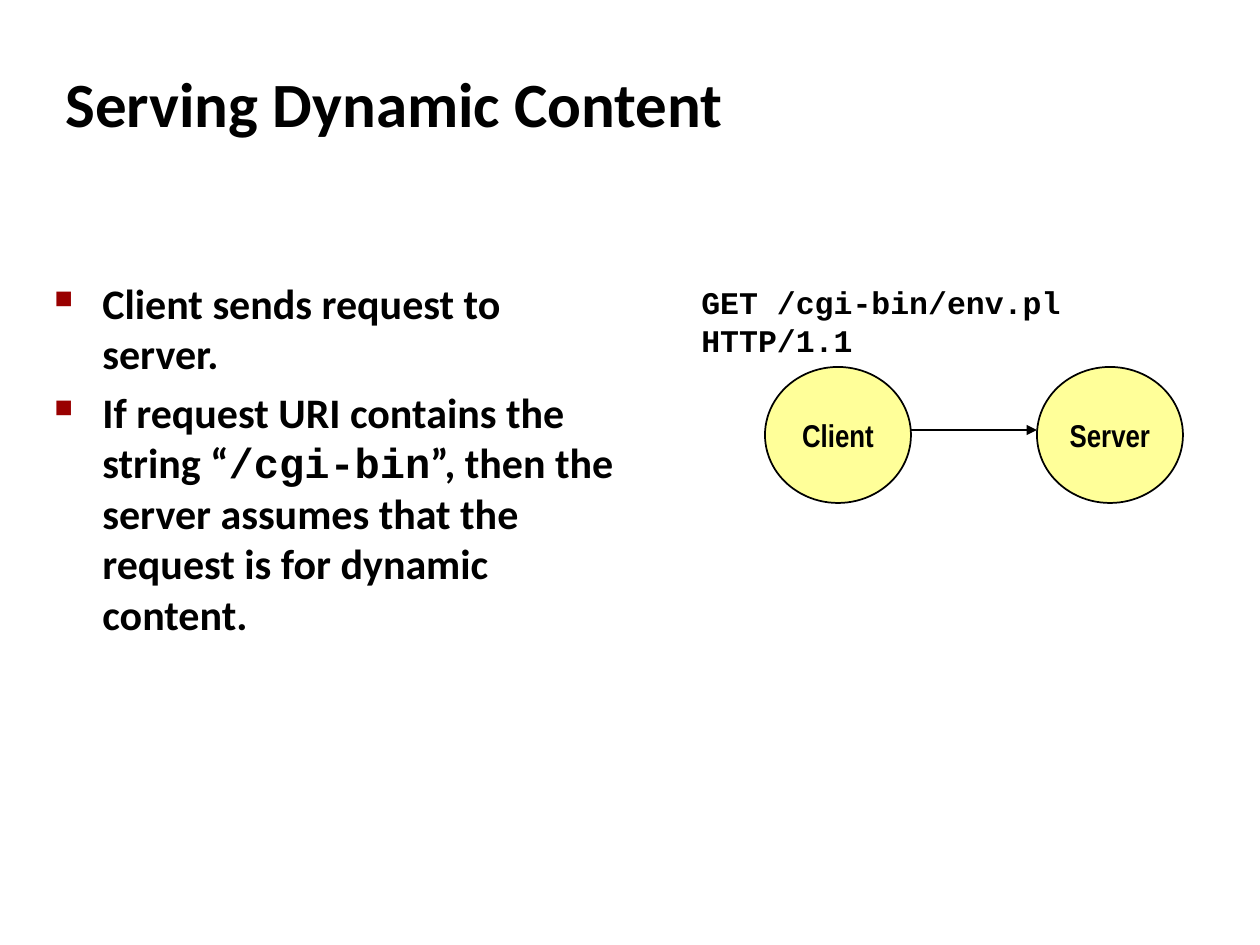
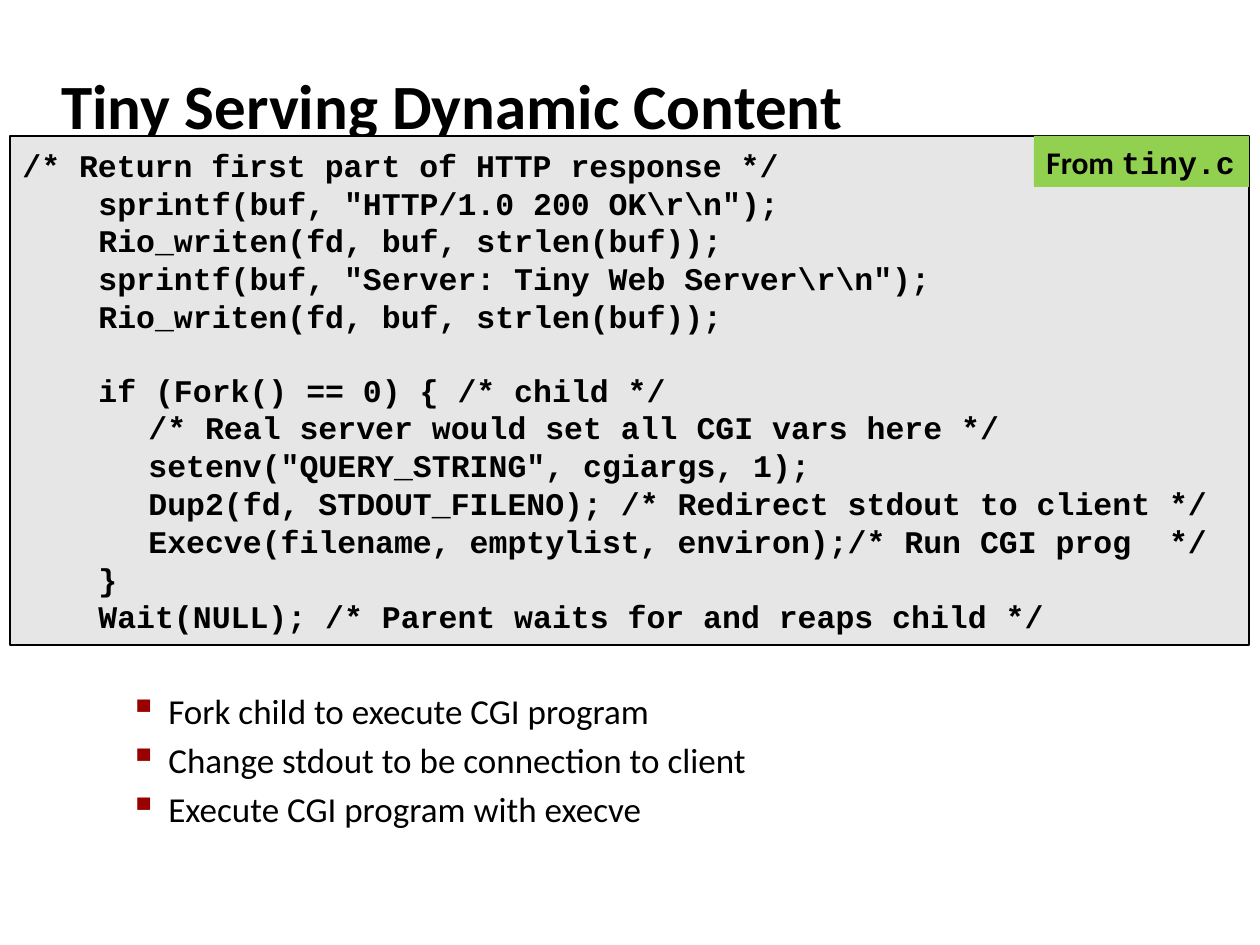
"""Build two slides on serving dynamic web content."""
from dataclasses import dataclass
from typing import Optional

import lxml.etree
import pptx
import pptx.dml.color
import pptx.enum.shapes
import pptx.enum.text
import pptx.oxml.ns
import pptx.util

RGBColor = pptx.dml.color.RGBColor
Anchor = pptx.enum.text.MSO_ANCHOR
Preset = pptx.enum.shapes.MSO_SHAPE
qn = pptx.oxml.ns.qn

BLACK = RGBColor(0x00, 0x00, 0x00)
YELLOW = RGBColor(0xFF, 0xFF, 0x99)
GREY = RGBColor(0xE6, 0xE6, 0xE6)
GREEN = RGBColor(0x92, 0xD0, 0x50)
DARK_RED = RGBColor(0x99, 0x00, 0x00)

SANS = "Calibri"
NARROW = "Arial Narrow"
MONO = "Courier New"
PX = 914400 // 126


@dataclass(frozen=True)
class Box:
    """Position and size in pixels."""

    x: int
    y: int
    w: int
    h: int

    def emu(self) -> tuple:
        """Return left, top, width and height in EMU."""
        return self.x * PX, self.y * PX, self.w * PX, self.h * PX


@dataclass(frozen=True)
class Bullet:
    """Bullet mark with its size in percent and its indents in pixels."""

    char: str
    percent: int
    margin: int
    hang: int


@dataclass(frozen=True)
class CodeLine:
    """Line of code with its indent in pixels and the space above in points."""

    text: str
    indent: int = 0
    before: float = 0


@dataclass(frozen=True)
class Node:
    """Labelled circle of the request diagram."""

    label: str
    box: Box


TOPIC = Bullet("■", 60, 48, 48)
DETAIL = Bullet("▪", 110, 102, 39)
BLOCK = 76
NESTED = 126
CODE_LINE_HEIGHT = 20.4

NODES = [Node(label, Box(x, 367, 146, 136)) for label, x in (("Client", 765), ("Server", 1037))]

TOPICS = [
    [("Client sends request to server.", SANS)],
    [
        ("If request URI contains the string “", SANS),
        ("/cgi-bin", MONO),
        ("”, then the server assumes that the request is for dynamic content.", SANS),
    ],
]

DETAILS = [
    "Fork child to execute CGI program",
    "Change stdout to be connection to client",
    "Execute CGI program with execve",
]

CODE = [
    CodeLine("/* Return first part of HTTP response */"),
    CodeLine(r'sprintf(buf, "HTTP/1.0 200 OK\r\n");', BLOCK),
    CodeLine("Rio_writen(fd, buf, strlen(buf));", BLOCK),
    CodeLine(r'sprintf(buf, "Server: Tiny Web Server\r\n");', BLOCK),
    CodeLine("Rio_writen(fd, buf, strlen(buf));", BLOCK),
    CodeLine("if (Fork() == 0) { /* child */", BLOCK, CODE_LINE_HEIGHT),
    CodeLine("/* Real server would set all CGI vars here */", NESTED),
    CodeLine('setenv("QUERY_STRING", cgiargs, 1);', NESTED),
    CodeLine("Dup2(fd, STDOUT_FILENO); /* Redirect stdout to client */", NESTED),
    CodeLine("Execve(filename, emptylist, environ);/* Run CGI prog  */", NESTED),
    CodeLine("}", BLOCK),
    CodeLine("Wait(NULL); /* Parent waits for and reaps child */", BLOCK),
]


def add_text(p, text: str, *, size: float, font: str = SANS, bold: bool = True) -> None:
    """Append a formatted run to a paragraph."""
    r = p.add_run()
    r.text = text
    r.font.size = pptx.util.Pt(size)
    r.font.name = font
    r.font.bold = bold
    r.font.color.rgb = BLACK


def add_paragraph(tf, *, indent: int = 0, before: float = 0, bullet: Optional[Bullet] = None):
    """Return the next paragraph of a frame, reusing the empty first one."""
    p = tf.paragraphs[0] if not tf.paragraphs[0].runs else tf.add_paragraph()
    p.alignment = pptx.enum.text.PP_ALIGN.LEFT
    p.space_before = pptx.util.Pt(before)
    pPr = p._p.get_or_add_pPr()
    pPr.set("marL", str((bullet.margin if bullet else indent) * PX))
    pPr.set("indent", str(-bullet.hang * PX if bullet else 0))
    if bullet:
        color = lxml.etree.SubElement(pPr, qn("a:buClr"))
        lxml.etree.SubElement(color, qn("a:srgbClr"), val=str(DARK_RED))
        lxml.etree.SubElement(pPr, qn("a:buSzPct"), val=str(bullet.percent * 1000))
        lxml.etree.SubElement(pPr, qn("a:buChar"), char=bullet.char)
    return p


def add_frame(s, box: Box, *, anchor=Anchor.TOP):
    """Add a wrapping text box and return its frame."""
    tf = s.shapes.add_textbox(*box.emu()).text_frame
    tf.word_wrap = True
    tf.vertical_anchor = anchor
    return tf


def add_panel(s, preset, box: Box, fill: RGBColor, *, outlined: bool = True, wrap: bool = False):
    """Add a filled shape and return its text frame."""
    sp = s.shapes.add_shape(preset, *box.emu())
    sp.shadow.inherit = False
    sp.fill.solid()
    sp.fill.fore_color.rgb = fill
    if outlined:
        sp.line.color.rgb = BLACK
        sp.line.width = pptx.util.Pt(1)
    else:
        sp.line.fill.background()
    tf = sp.text_frame
    tf.word_wrap = wrap
    tf.vertical_anchor = Anchor.MIDDLE
    return tf


def add_arrow(s, x1: int, y1: int, x2: int, y2: int) -> None:
    """Add a thin line with an arrowhead at its end."""
    line = s.shapes.add_connector(
        pptx.enum.shapes.MSO_CONNECTOR.STRAIGHT, x1 * PX, y1 * PX, x2 * PX, y2 * PX
    )
    line.line.color.rgb = BLACK
    line.line.width = pptx.util.Pt(1)
    lxml.etree.SubElement(line.line._get_or_add_ln(), qn("a:tailEnd"), type="triangle")
    lxml.etree.SubElement(line._element.spPr, qn("a:effectLst"))


def add_slide(prs, title: str, box: Box):
    """Add a blank slide with a title."""
    s = prs.slides.add_slide(prs.slide_layouts[6])
    add_text(add_paragraph(add_frame(s, box)), title, size=36)
    return s


def build_request_slide(prs) -> None:
    """Draw the client request and its diagram."""
    s = add_slide(prs, "Serving Dynamic Content", Box(53, 58, 840, 79))
    for node in NODES:
        tf = add_panel(s, Preset.OVAL, node.box, YELLOW)
        p = add_paragraph(tf)
        p.alignment = pptx.enum.text.PP_ALIGN.CENTER
        add_text(p, node.label, size=18, font=NARROW)
    tf = add_frame(s, Box(42, 271, 591, 614))
    for runs in TOPICS:
        p = add_paragraph(tf, before=4.8, bullet=TOPIC)
        for text, font in runs:
            add_text(p, text, size=24, font=font)
    client, server = (node.box for node in NODES)
    add_arrow(s, client.x + client.w, 430, server.x, 430)
    tf = add_frame(s, Box(689, 277, 540, 88), anchor=Anchor.MIDDLE)
    add_text(add_paragraph(tf), "GET /cgi-bin/env.pl HTTP/1.1", size=18, font=MONO)


def build_code_slide(prs) -> None:
    """Draw the server code and its explanation."""
    s = add_slide(prs, "Tiny Serving Dynamic Content", Box(49, 60, 1046, 105))
    tf = add_frame(s, Box(54, 683, 1089, 151))
    for text in DETAILS:
        add_text(add_paragraph(tf, before=4, bullet=DETAIL), text, size=20, bold=False)
    tf = add_panel(s, Preset.RECTANGLE, Box(10, 136, 1239, 509), GREY, wrap=True)
    for line in CODE:
        p = add_paragraph(tf, indent=line.indent, before=line.before)
        add_text(p, line.text, size=18, font=MONO)
    tf = add_panel(s, Preset.RECTANGLE, Box(1034, 136, 215, 51), GREEN, outlined=False)
    p = add_paragraph(tf)
    add_text(p, "From ", size=18)
    add_text(p, "tiny.c", size=18, font=MONO)


def main() -> None:
    """Build and save the presentation."""
    prs = pptx.Presentation()
    prs.slide_width = 1260 * PX
    prs.slide_height = 945 * PX
    build_request_slide(prs)
    build_code_slide(prs)
    prs.save("out.pptx")


main()
